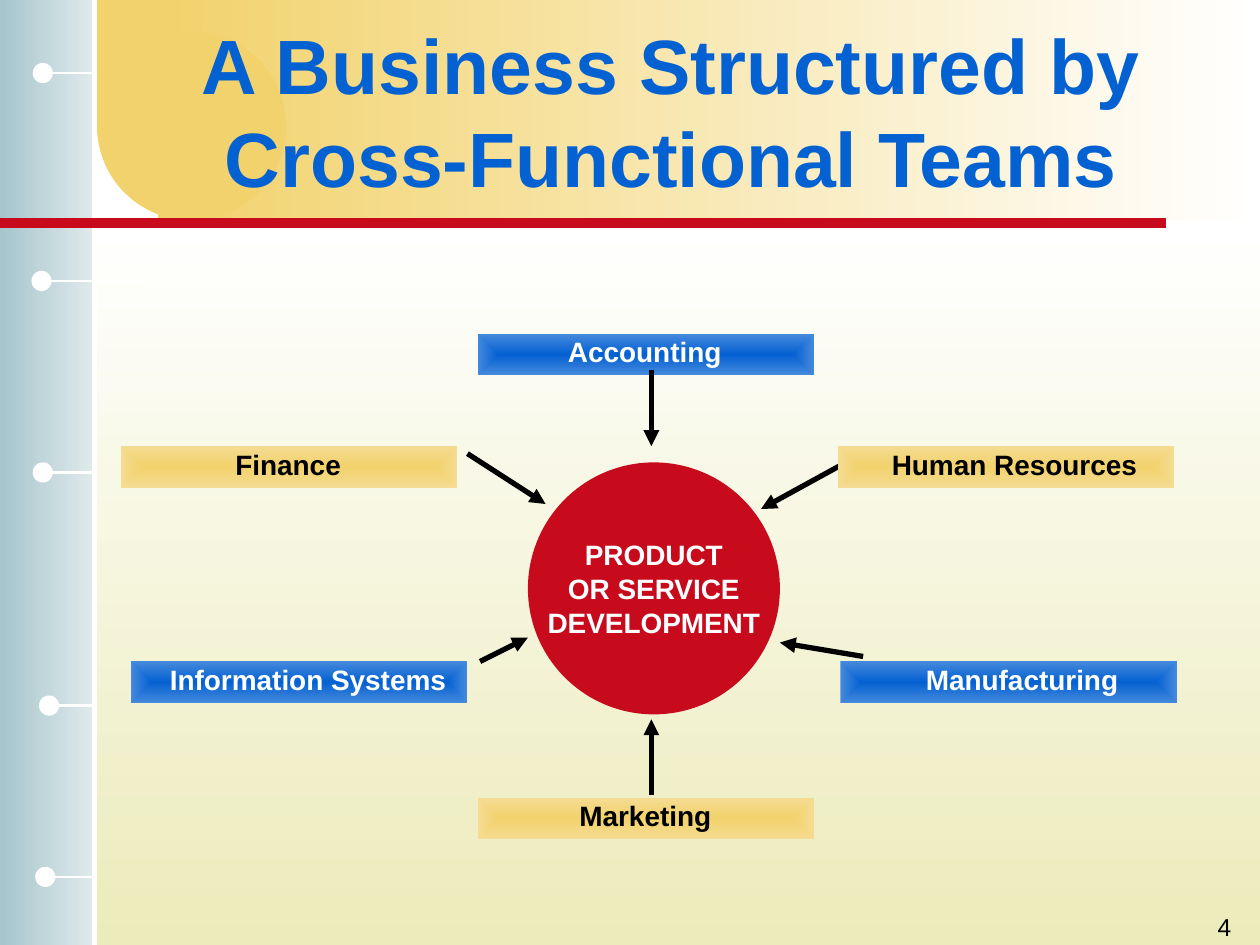
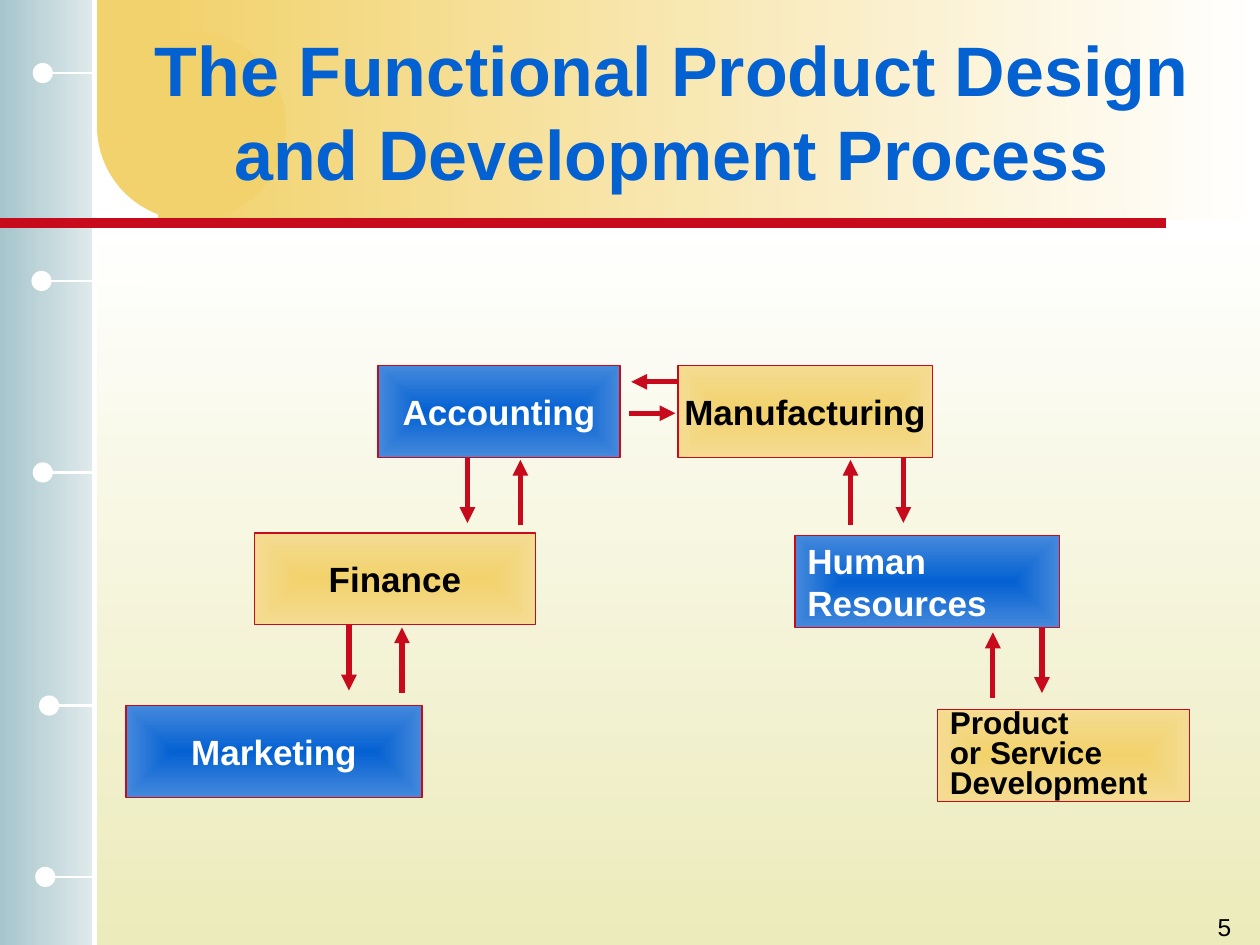
from lxml import etree
from pptx import Presentation
from pptx.dml.color import RGBColor
from pptx.enum.shapes import MSO_CONNECTOR, MSO_SHAPE
from pptx.enum.text import MSO_ANCHOR, MSO_AUTO_SIZE, PP_ALIGN
from pptx.oxml.ns import qn
from pptx.util import Inches, Pt

RECT, OVAL = MSO_SHAPE.RECTANGLE, MSO_SHAPE.OVAL
STRAIGHT = MSO_CONNECTOR.STRAIGHT
LEFT, CENTER, RIGHT = PP_ALIGN.LEFT, PP_ALIGN.CENTER, PP_ALIGN.RIGHT
TOP, MIDDLE = MSO_ANCHOR.TOP, MSO_ANCHOR.MIDDLE
FIT_TO_TEXT = MSO_AUTO_SIZE.SHAPE_TO_FIT_TEXT

COLORS = {
    "white": "FFFFFF", "black": "000000", "red": "C70B1D",
    "blue": "0461D2", "light blue": "4589DC",
    "gold": "F2D26C", "light gold": "F4DC92",
    "cream": "ECEBBB", "pale teal": "E0EAEC", "teal": "A6C5CC",
}
FONT = "Arial"
# box tone: centre colour, edge colour, text colour
TONES = {
    "blue": ("blue", "light blue", "white"),
    "gold": ("gold", "light gold", "black"),
}

# All places are in cells of a grid of 10 columns by 7.5 rows.
COLUMNS, ROWS = 10, 7.5
SLIDE_WIDTH, SLIDE_HEIGHT = Inches(10), Inches(7.5)
CELL = SLIDE_WIDTH / COLUMNS

# Side strip markers: row, left of dot, start and end of stem
MARKERS = [
    (0.58, 0.26, 0.42, 0.75),
    (2.23, 0.25, 0.33, 1.17),
    (3.75, 0.26, 0.40, 0.73),
    (5.60, 0.31, 0.42, 0.75),
    (6.96, 0.28, 0.40, 0.73),
]
DOT = 0.16

TEAMS_TITLE = "A Business Structured by Cross-Functional Teams"
HUB_LINES = ["PRODUCT", "OR SERVICE", "DEVELOPMENT"]
HUB_PLACE = (4.19, 3.67, 2, 2)
TEAM_WIDTH, TEAM_HEIGHT = 2.67, 0.33
LABEL_RISE, LABEL_HEIGHT = 0.04, 0.37
# name, tone, left and top of bar, left and width of label
TEAMS = [
    ("Accounting", "blue", 3.79, 2.65, 4.41, 1.44),
    ("Human Resources", "gold", 6.65, 3.54, 6.98, 2.16),
    ("Manufacturing", "blue", 6.67, 5.25, 7.25, 1.74),
    ("Marketing", "gold", 3.79, 6.33, 4.50, 1.26),
    ("Finance", "gold", 0.96, 3.54, 1.77, 1.06),
    ("Information Systems", "blue", 1.04, 5.25, 1.25, 2.41),
]
ARROWS_BEHIND_TEAMS = [
    ((6.85, 5.21), (6.19, 5.10)),
    ((6.75, 3.65), (6.04, 4.04)),
]
ARROWS_OVER_TEAMS = [
    ((5.17, 2.94), (5.17, 3.54)),
    ((5.17, 6.31), (5.17, 5.71)),
    ((3.81, 5.25), (4.19, 5.06)),
    ((3.71, 3.60), (4.33, 4.00)),
]

PROCESS_TITLE = "The Functional Product Design and Development Process"
STEP_HEIGHT = 0.73
# lines, tone, left, top, width, text format
STEPS = [
    (["Marketing"], "blue", 1.00, 5.60, 2.35, {}),
    (["Finance"], "gold", 2.02, 4.23, 2.23, {}),
    (["Accounting"], "blue", 3.00, 2.90, 1.92, {}),
    (["Manufacturing"], "gold", 5.38, 2.90, 2.02, {}),
    (["Human", "Resources"], "blue", 6.31, 4.25, 2.10, {"align": LEFT}),
    (["Product", "or Service", "Development"], "gold", 7.44, 5.63, 2.00,
     {"align": LEFT, "size": 18, "spacing": 0.8}),
]
# bottom of upper step, column of down arrow, column of up arrow, gap over the tip
EXCHANGES = [
    (3.63, 3.71, 4.13, 0.02),
    (4.96, 2.77, 3.19, 0.02),
    (3.63, 7.17, 6.75, 0.02),
    (4.98, 8.27, 7.88, 0.04),
]
EXCHANGE_LENGTH = 0.52
SIDE_ARROWS = [
    ((4.99, 3.28), (5.36, 3.28)),
    ((5.39, 3.03), (5.01, 3.03)),
]


def cells(*lengths):
    return [round(length * CELL) for length in lengths]


def rgb(color):
    return RGBColor.from_string(COLORS[color])


def write(frame, lines, size=16, color="black", bold=True, align=LEFT,
          anchor=TOP, wrap=False, fit=False, spacing=None):
    """Fill a text frame with one paragraph for each line."""
    frame.word_wrap = wrap
    frame.vertical_anchor = anchor
    if fit:
        frame.auto_size = FIT_TO_TEXT
    for number, line in enumerate(lines):
        paragraph = frame.add_paragraph() if number else frame.paragraphs[0]
        paragraph.text = line
        paragraph.alignment = align
        if spacing:
            paragraph.line_spacing = spacing
        font = paragraph.font
        font.name, font.size, font.bold = FONT, Pt(size), bold
        font.color.rgb = rgb(color)


def add_text(slide, place, lines, **text_format):
    frame = slide.shapes.add_textbox(*cells(*place)).text_frame
    write(frame, lines, **text_format)


def add_block(slide, kind, place, color, end_color=None, angle=None, border=None):
    """Add a shape; an end colour makes a gradient, from the centre if no angle is given."""
    block = slide.shapes.add_shape(kind, *cells(*place))
    block.shadow.inherit = False
    if end_color:
        block.fill.gradient()
        for stop, name in zip(block.fill.gradient_stops, (color, end_color)):
            stop.color.rgb = rgb(name)
        if angle is None:
            spread_from_centre(block)
        else:
            block.fill.gradient_angle = angle
    else:
        block.fill.solid()
        block.fill.fore_color.rgb = rgb(color)
    if border:
        block.line.color.rgb = rgb(border)
        block.line.width = Pt(0.75)
    else:
        block.line.fill.background()
    return block


def spread_from_centre(block):
    gradient = block._element.spPr.find(qn("a:gradFill"))
    gradient.remove(gradient.find(qn("a:lin")))
    rings = etree.SubElement(gradient, qn("a:path"), {"path": "rect"})
    etree.SubElement(rings, qn("a:fillToRect"), dict.fromkeys("ltrb", "50000"))


def add_line(slide, start, end, color, width=3, arrow=False):
    line = slide.shapes.add_connector(STRAIGHT, *cells(*start, *end))
    line.line.color.rgb = rgb(color)
    line.line.width = Pt(width)
    properties = line._element.spPr
    if arrow:
        etree.SubElement(properties.find(qn("a:ln")), qn("a:tailEnd"), {"type": "triangle"})
    etree.SubElement(properties, qn("a:effectLst"))


def add_arrows(slide, arrows, color):
    for start, end in arrows:
        add_line(slide, start, end, color, arrow=True)


def add_slide(deck, title, title_size, number):
    """Add a slide with the shared background, bands, title and page number."""
    slide = deck.slides.add_slide(deck.slide_layouts[6])
    add_block(slide, RECT, (0.73, 1.77, 9.27, 5.73), "white", "cream", angle=270)
    add_block(slide, RECT, (0, 0, 0.75, ROWS), "pale teal", "teal", angle=180)
    add_block(slide, RECT, (1.25, 0, 8.75, 1.75), "white", "gold", angle=180)
    add_block(slide, OVAL, (0.77, 0.25, 1.5, 1.5), "gold")
    add_block(slide, RECT, (0.77, 0, 0.67, 0.96), "gold")
    add_line(slide, (0.75, 0), (0.75, ROWS), "white")
    for row, dot_left, stem_start, stem_end in MARKERS:
        add_line(slide, (stem_end, row), (stem_start, row), "white", width=1.5)
        add_block(slide, OVAL, (dot_left, row - DOT / 2, DOT, DOT), "white")
    add_line(slide, (0, 1.77), (9.25, 1.77), "red", width=6)
    add_text(slide, (1.08, 0.25, 8.5, 1.25), [title], size=title_size,
             color="blue", align=CENTER, anchor=MIDDLE, wrap=True)
    add_text(slide, (7.79, 7.19, 2.08, 0.5), [str(number)], size=14,
             bold=False, align=RIGHT, wrap=True)
    return slide


def add_teams_slide(deck):
    slide = add_slide(deck, TEAMS_TITLE, 44, 4)
    add_arrows(slide, ARROWS_BEHIND_TEAMS, "black")
    hub = add_block(slide, OVAL, HUB_PLACE, "red")
    write(hub.text_frame, HUB_LINES, color="white", align=CENTER, anchor=MIDDLE)
    for name, tone, left, top, label_left, label_width in TEAMS:
        centre, edge, text_color = TONES[tone]
        add_block(slide, RECT, (left, top, TEAM_WIDTH, TEAM_HEIGHT), centre, edge)
        label_place = (label_left, top - LABEL_RISE, label_width, LABEL_HEIGHT)
        add_text(slide, label_place, [name], color=text_color, fit=True)
    add_arrows(slide, ARROWS_OVER_TEAMS, "black")


def add_process_slide(deck):
    slide = add_slide(deck, PROCESS_TITLE, 40, 5)
    for lines, tone, left, top, width, text_format in STEPS:
        centre, edge, text_color = TONES[tone]
        step = add_block(slide, RECT, (left, top, width, STEP_HEIGHT),
                         centre, edge, border="red")
        step_format = {"size": 20, "align": CENTER, **text_format}
        write(step.text_frame, lines, color=text_color, anchor=MIDDLE, **step_format)
    for bottom, down, up, gap in EXCHANGES:
        tip = bottom + gap
        add_arrows(slide, [
            ((down, bottom), (down, bottom + EXCHANGE_LENGTH)),
            ((up, tip + EXCHANGE_LENGTH), (up, tip)),
        ], "red")
    add_arrows(slide, SIDE_ARROWS, "red")


def main():
    deck = Presentation()
    deck.slide_width, deck.slide_height = SLIDE_WIDTH, SLIDE_HEIGHT
    add_teams_slide(deck)
    add_process_slide(deck)
    deck.save("out.pptx")


if __name__ == "__main__":
    main()
